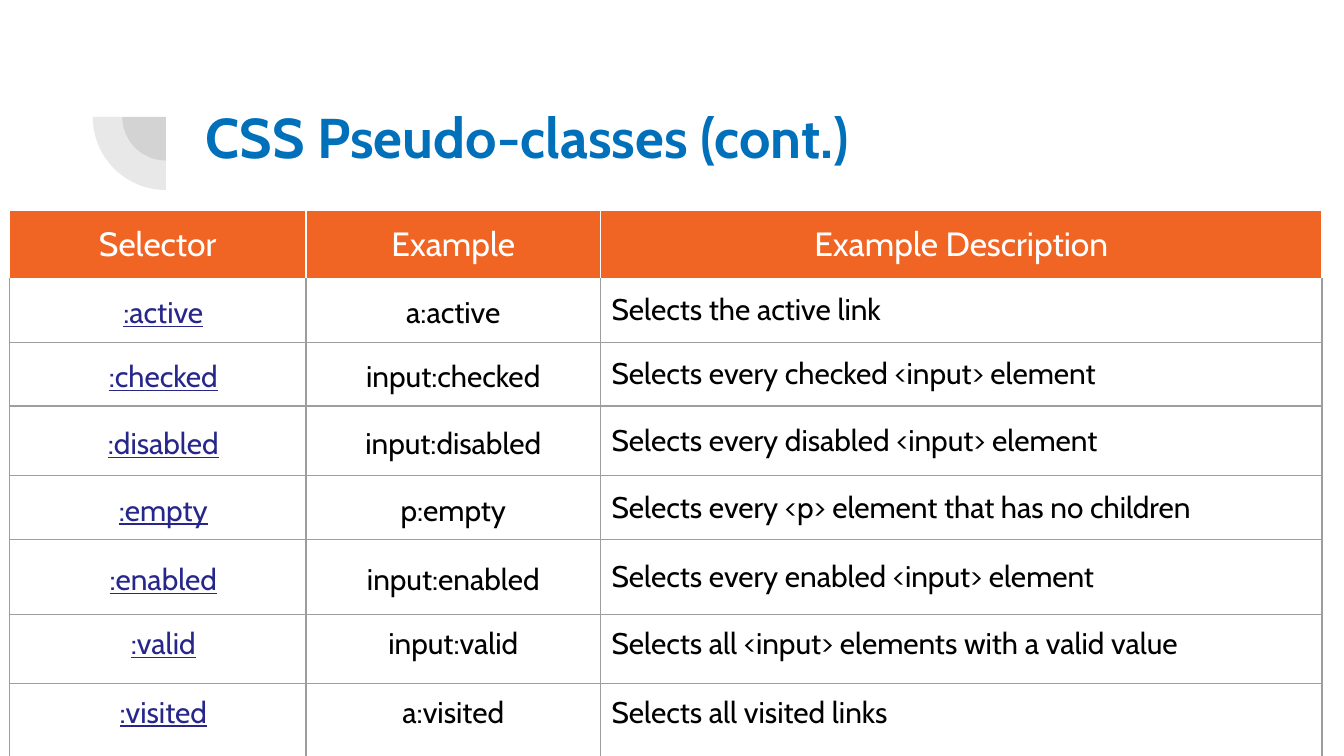
from lxml.etree import SubElement as Sub
from pptx import Presentation
from pptx.dml.color import RGBColor as Rgb
from pptx.enum.shapes import MSO_SHAPE as Shape
from pptx.enum.text import MSO_ANCHOR as Anchor, MSO_AUTO_SIZE as Auto, PP_ALIGN as Align
from pptx.oxml import parse_xml
from pptx.oxml.ns import nsdecls, qn
from pptx.util import Pt

TITLE = "CSS Pseudo-classes (cont.)"
HEAD = ("Selector", "Example", "Example Description")
ROWS = [
    (":active", "a:active", "Selects the active link"),
    (":checked", "input:checked", "Selects every checked <input> element"),
    (":disabled", "input:disabled", "Selects every disabled <input> element"),
    (":empty", "p:empty", "Selects every <p> element that has no children"),
    (":enabled", "input:enabled", "Selects every enabled <input> element"),
    (":valid", "input:valid", "Selects all <input> elements with a valid value"),
    (":visited", "a:visited", "Selects all visited links"),
]
COLORS = {"title": "0170BA", "head": "F16524", "white": "FFFFFF", "link": "27278B",
          "text": "000000", "grid": "9E9E9E", "pie": "424242"}
FONT = "Cabin"
WIDTHS = (159, 157.7, 386.6)
HEIGHTS = (34.6, 32.4, 33.8, 37.4, 32.4, 40.3, 36.7, 40.3)
LEFT, TOP = 5, 112.7
HUB = (88.9, 62.6)
RADII = (23.4, 39.2)
LOOSE = 5


def apply(item, **values):
    """Set each named value on the item."""
    for name, value in values.items():
        setattr(item, name, value)


def style(run, color, **values):
    """Give a run its font and color."""
    apply(run.font, name=FONT, **values)
    run.font.color.rgb = Rgb.from_string(COLORS[color])


def draw_pie(slide, radius):
    """Draw a pale quarter disc around the hub."""
    x, y = (Pt(mid - radius) for mid in HUB)
    pie = slide.shapes.add_shape(Shape.PIE, x, y, Pt(2 * radius), Pt(2 * radius))
    pie.shadow.inherit = False
    pie.adjustments[0], pie.adjustments[1] = 54, 108
    pie.fill.solid()
    pie.fill.fore_color.rgb = Rgb.from_string(COLORS["pie"])
    pie.line.fill.background()
    tint = pie.fill._xPr.find(qn("a:solidFill"))[0]
    Sub(tint, qn("a:alpha"), val="12000")


def add_edges(cell, sides):
    """Draw the four cell borders in the given colors."""
    props = cell._tc.get_or_add_tcPr()
    for spot, (side, color) in enumerate(sides.items()):
        props.insert(spot, parse_xml(
            f'<a:ln{side} {nsdecls("a")} w="9525"><a:solidFill>'
            f'<a:srgbClr val="{COLORS[color]}"/></a:solidFill></a:ln{side}>'))


def fill_cell(cell, text, row, col):
    """Write and format one table cell."""
    head = row == 0
    pad = 7.2 if head else 6
    apply(cell, text=text,
          vertical_anchor=Anchor.MIDDLE if row <= LOOSE else Anchor.TOP,
          margin_left=Pt(12 if col == 0 and not head else pad),
          margin_right=Pt(pad), margin_top=Pt(pad), margin_bottom=Pt(pad))
    para = cell.text_frame.paragraphs[0]
    para.alignment = Align.CENTER if head or col < 2 else Align.LEFT
    if 0 < row <= LOOSE and col < 2:
        para.line_spacing = 1.15
    link = col == 0 and not head
    color = "white" if head else "link" if link else "text"
    style(para.runs[0], color, size=Pt(18 if head else 16), bold=False, underline=link)
    if head:
        cell.fill.solid()
        cell.fill.fore_color.rgb = Rgb.from_string(COLORS["head"])
    else:
        cell.fill.background()
    sides = dict.fromkeys("LRTB", "white" if head else "grid")
    if row == 1:
        sides["T"] = "white"
    add_edges(cell, sides)


def add_grid(slide):
    """Build the table of selectors."""
    data = [HEAD, *ROWS]
    grid = slide.shapes.add_table(len(data), len(HEAD), Pt(LEFT), Pt(TOP),
                                  Pt(sum(WIDTHS)), Pt(sum(HEIGHTS))).table
    apply(grid, first_row=False, horz_banding=False)
    for col, width in zip(grid.columns, WIDTHS):
        col.width = Pt(width)
    for row, height in zip(grid.rows, HEIGHTS):
        row.height = Pt(height)
    for r, line in enumerate(data):
        for c, text in enumerate(line):
            fill_cell(grid.cell(r, c), text, r, c)


def add_title(slide):
    """Place and format the title."""
    title = slide.shapes.title
    apply(title, left=Pt(103), top=Pt(46.8), width=Pt(617), height=Pt(52.6))
    frame = title.text_frame
    apply(frame, text=TITLE, word_wrap=True, auto_size=Auto.NONE,
          vertical_anchor=Anchor.MIDDLE, margin_left=Pt(7.2), margin_right=Pt(7.2),
          margin_top=Pt(7.2), margin_bottom=Pt(7.2))
    para = frame.paragraphs[0]
    apply(para, alignment=Align.LEFT, space_after=Pt(16))
    style(para.runs[0], "title", size=Pt(30), bold=True)


def main():
    """Build and save the slide."""
    deck = Presentation()
    apply(deck, slide_width=Pt(720), slide_height=Pt(405))
    slide = deck.slides.add_slide(deck.slide_layouts[5])
    for radius in RADII:
        draw_pie(slide, radius)
    add_title(slide)
    add_grid(slide)
    deck.save("out.pptx")


if __name__ == "__main__":
    main()
